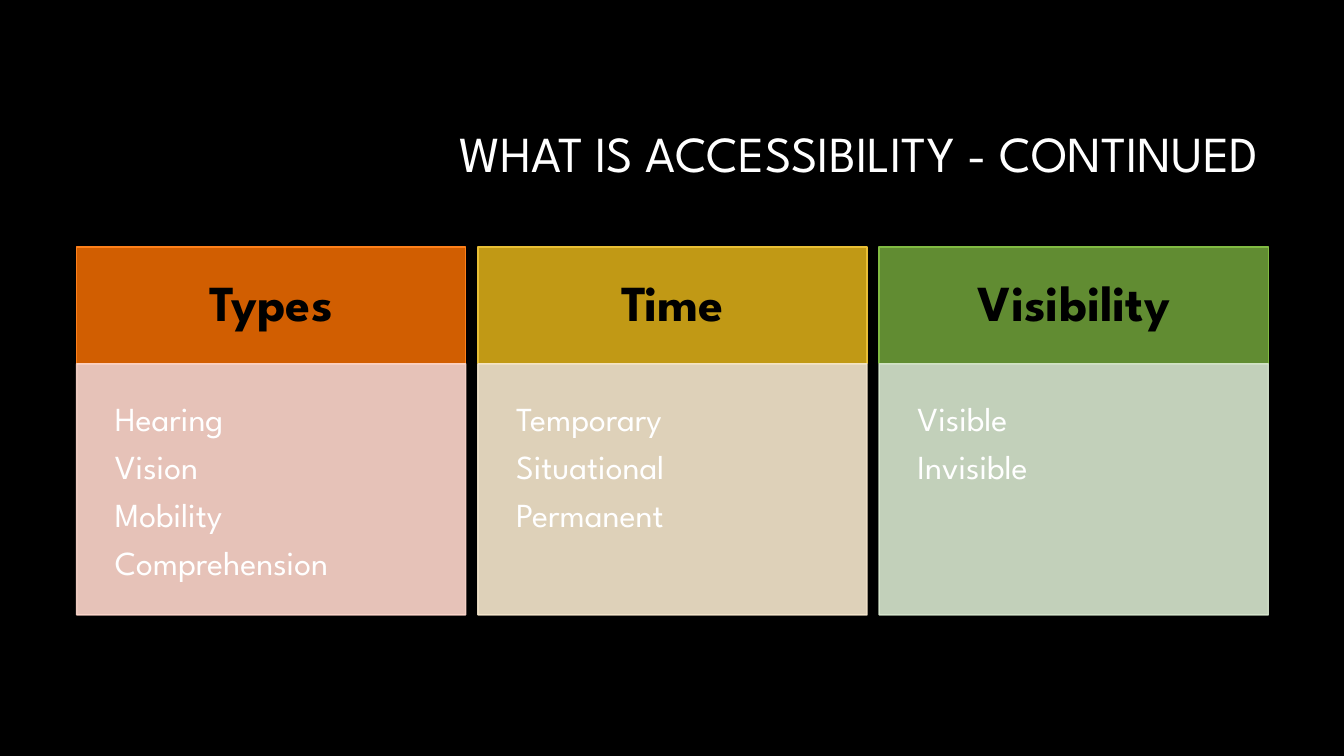
from dataclasses import dataclass

from lxml import etree
from pptx import Presentation
from pptx import util as u
from pptx.dml.color import RGBColor
from pptx.enum import shapes, text
from pptx.oxml.ns import qn

FONT = "League Spartan"
BLACK = RGBColor(0x00, 0x00, 0x00)
WHITE = RGBColor(0xFF, 0xFF, 0xFF)
ORANGE, ORANGE_EDGE = RGBColor(0xD1, 0x5E, 0x01), RGBColor(0xFE, 0x80, 0x1A)
GOLD, GOLD_EDGE = RGBColor(0xC1, 0x99, 0x15), RGBColor(0xE9, 0xBF, 0x35)
GREEN, GREEN_EDGE = RGBColor(0x61, 0x8C, 0x32), RGBColor(0x81, 0xBB, 0x42)
PINK = RGBColor(0xFF, 0xD8, 0xCD)
SAND = RGBColor(0xF7, 0xE8, 0xCE)
SAGE = RGBColor(0xD8, 0xE7, 0xCF)

# Column grid, in inches
GRID_LEFT, GRID_TOP = 0.76, 2.45
COLUMN_WIDTH, COLUMN_STEP = 3.86, 3.98
HEADER_HEIGHT, BODY_HEIGHT = 1.16, 2.49
BODY_OPACITY = 90


@dataclass(frozen=True)
class Column:
    heading: str
    items: tuple[str, ...]
    fill: RGBColor
    edge: RGBColor
    body: RGBColor


COLUMNS = (
    Column("Types", ("Hearing", "Vision", "Mobility", "Comprehension"), ORANGE, ORANGE_EDGE, PINK),
    Column("Time", ("Temporary", "Situational", "Permanent"), GOLD, GOLD_EDGE, SAND),
    Column("Visibility", ("Visible", "Invisible"), GREEN, GREEN_EDGE, SAGE),
)


def set_opacity(shape, percent: int) -> None:
    """Make both the fill and the outline of a shape partly transparent."""
    for color in shape._element.spPr.iter(qn("a:srgbClr")):
        etree.SubElement(color, qn("a:alpha"), val=str(percent * 1000))


def set_space_after(paragraph, percent: int) -> None:
    """Set the space after a paragraph as a share of its text size."""
    paragraph.space_after = u.Pt(0)
    spacing = paragraph._p.pPr.find(qn("a:spcAft"))
    spacing.remove(spacing[0])
    etree.SubElement(spacing, qn("a:spcPct"), val=str(percent * 1000))


def write(shape, *lines: str, size: float, color: RGBColor, bold: bool = False,
          align=text.PP_ALIGN.LEFT, anchor=text.MSO_ANCHOR.MIDDLE,
          inset: float | None = None, space_after: int = 0) -> None:
    frame = shape.text_frame
    frame.word_wrap = True
    frame.vertical_anchor = anchor
    if inset is not None:
        frame.margin_left = frame.margin_right = u.Inches(inset)
        frame.margin_top = frame.margin_bottom = u.Inches(inset)
    frame.text = "\n".join(lines)
    for paragraph in frame.paragraphs:
        paragraph.alignment = align
        paragraph.line_spacing = 0.9
        set_space_after(paragraph, space_after)
        font = paragraph.runs[0].font
        font.name, font.size, font.bold = FONT, u.Pt(size), bold
        font.color.rgb = color


def add_panel(slide, left: float, top: float, height: float, fill: RGBColor, edge: RGBColor):
    panel = slide.shapes.add_shape(
        shapes.MSO_SHAPE.RECTANGLE, u.Inches(left), u.Inches(top),
        u.Inches(COLUMN_WIDTH), u.Inches(height))
    panel.shadow.inherit = False
    panel.fill.solid()
    panel.fill.fore_color.rgb = fill
    panel.line.color.rgb = edge
    panel.line.width = u.Pt(1)
    return panel


def add_column(slide, index: int, column: Column) -> None:
    left = GRID_LEFT + index * COLUMN_STEP
    header = add_panel(slide, left, GRID_TOP, HEADER_HEIGHT, column.fill, column.edge)
    write(header, column.heading, size=36, color=BLACK, bold=True,
          align=text.PP_ALIGN.CENTER, inset=0.31, space_after=35)
    body = add_panel(slide, left, GRID_TOP + HEADER_HEIGHT, BODY_HEIGHT, column.body, column.body)
    set_opacity(body, BODY_OPACITY)
    write(body, *column.items, size=24, color=WHITE, anchor=text.MSO_ANCHOR.TOP,
          inset=0.38, space_after=35)


def main() -> None:
    presentation = Presentation()
    presentation.slide_width = u.Inches(13.33)
    presentation.slide_height = u.Inches(7.5)
    slide = presentation.slides.add_slide(presentation.slide_layouts[6])
    slide.background.fill.solid()
    slide.background.fill.fore_color.rgb = BLACK

    title = slide.shapes.add_textbox(0, u.Inches(0.84), u.Inches(12.58), u.Inches(1.41))
    write(title, "WHAT IS ACCESSIBILITY - CONTINUED", size=36, color=WHITE,
          align=text.PP_ALIGN.RIGHT)
    for index, column in enumerate(COLUMNS):
        add_column(slide, index, column)
    presentation.save("out.pptx")


if __name__ == "__main__":
    main()
